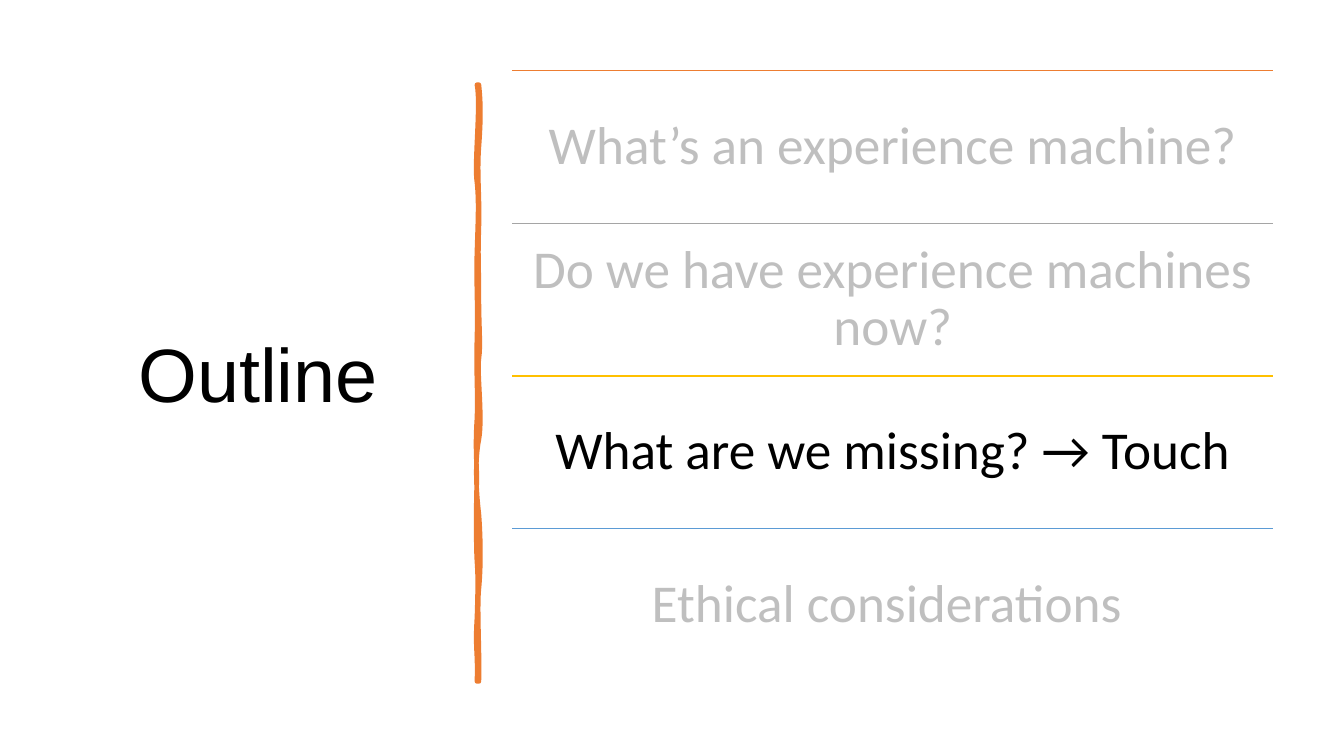
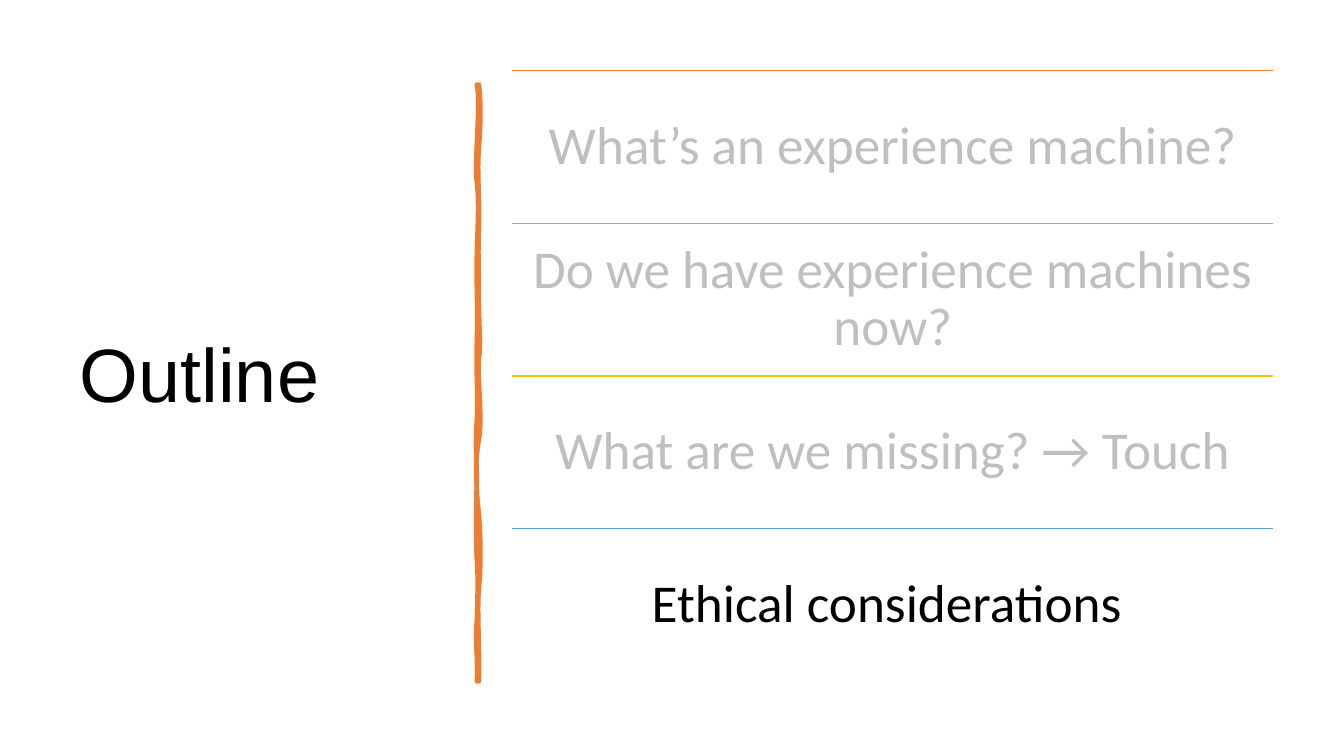
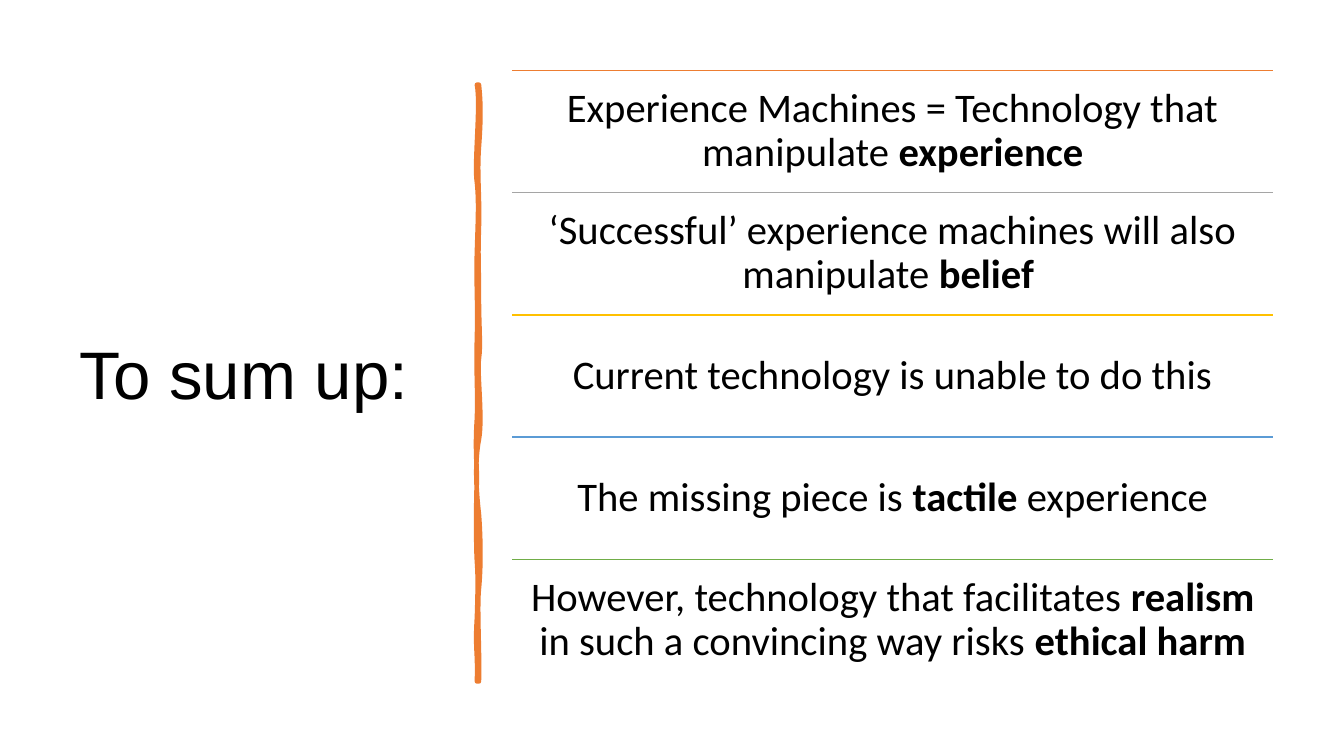
from pptx import Presentation
from pptx import util as u
from pptx.dml.color import RGBColor
from pptx.enum import shapes, text
from pptx.oxml.ns import qn
from lxml import etree

COLORS = {
    "black": "000000",
    "muted": "BFBFBF",
    "orange": "ED7D31",
    "gray": "A5A5A5",
    "gold": "FFC000",
    "blue": "5B9BD5",
    "green": "70AD47",
}
RULE_COLORS = ["orange", "gray", "gold", "blue", "green"]
TITLE_FONT, BODY_FONT = "Arial", "Calibri"

# The list area: rows share its height equally
LIST_LEFT, LIST_TOP, LIST_WIDTH, LIST_HEIGHT = 5.08, 0.7, 7.55, 6.06

# Hand-drawn bar: a start point, then cubic curves (control, control, end)
BAR_START = (4.75, 0.84)
BAR_CURVES = [
    ((4.77, 1.02), (4.77, 1.19), (4.75, 1.46)),
    ((4.73, 1.73), (4.76, 1.95), (4.75, 2.26)),
    ((4.74, 2.57), (4.75, 2.62), (4.75, 2.94)),
    ((4.75, 3.25), (4.77, 3.42), (4.75, 3.56)),
    ((4.73, 3.7), (4.79, 4.14), (4.75, 4.36)),
    ((4.71, 4.57), (4.72, 4.84), (4.75, 5.1)),
    ((4.77, 5.36), (4.77, 5.64), (4.75, 5.84)),
    ((4.73, 6.03), (4.76, 6.5), (4.75, 6.76)),
    ((4.74, 6.76), (4.73, 6.76), (4.73, 6.76)),
    ((4.74, 6.46), (4.71, 6.44), (4.73, 6.13)),
    ((4.74, 5.83), (4.74, 5.7), (4.73, 5.57)),
    ((4.72, 5.44), (4.72, 4.95), (4.73, 4.77)),
    ((4.73, 4.59), (4.71, 4.45), (4.73, 4.15)),
    ((4.74, 3.86), (4.72, 3.73), (4.73, 3.35)),
    ((4.74, 2.98), (4.72, 2.81), (4.73, 2.5)),
    ((4.74, 2.18), (4.75, 2.0), (4.73, 1.81)),
    ((4.7, 1.63), (4.77, 1.04), (4.73, 0.84)),
]

OUTLINE = [
    "What’s an experience machine?",
    "Do we have experience machines now?",
    "What are we missing? → Touch",
    "Ethical considerations ",
]

# Each row is a list of (text, bold) runs
SUMMARY = [
    [("Experience Machines = Technology that manipulate ", False), ("experience", True)],
    [("‘Successful’ experience machines will also manipulate ", False), ("belief ", True)],
    [("Current technology is unable to do this", False)],
    [("The missing piece is ", False), ("tactile", True), (" experience", False)],
    [("However, technology that facilitates ", False), ("realism", True),
     (" in such a convincing way risks ", False), ("ethical harm", True)],
]


def rgb(name):
    return RGBColor.from_string(COLORS[name])


def add_run(paragraph, wording, font, size, color="black", bold=False):
    run = paragraph.add_run()
    run.text = wording
    run.font.name = font
    run.font.size = u.Pt(size)
    run.font.bold = bold
    run.font.color.rgb = rgb(color)


def set_title(slide, wording, size, alignment):
    title = slide.shapes.title
    title.left, title.top = u.Inches(0.69), u.Inches(0.7)
    title.width, title.height = u.Inches(3.74), u.Inches(6.1)
    frame = title.text_frame
    frame.word_wrap = True
    frame.auto_size = text.MSO_AUTO_SIZE.NONE
    frame.vertical_anchor = text.MSO_ANCHOR.MIDDLE
    paragraph = frame.paragraphs[0]
    paragraph.alignment = alignment
    paragraph.line_spacing = 0.9
    add_run(paragraph, wording, TITLE_FONT, size)


def to_emu(point):
    return tuple(u.Inches(value) for value in point)


def bend_segments(shape, curves):
    """Turn the straight segments of a freeform into cubic curves."""
    for segment, curve in zip(list(shape.element.iter(qn("a:lnTo"))), curves):
        segment.tag = qn("a:cubicBezTo")
        for old_point in list(segment):
            segment.remove(old_point)
        for x, y in map(to_emu, curve):
            etree.SubElement(segment, qn("a:pt"),
                             x=str(x - shape.left), y=str(y - shape.top))


def add_bar(slide):
    builder = slide.shapes.build_freeform(*to_emu(BAR_START))
    builder.add_line_segments([to_emu(curve[-1]) for curve in BAR_CURVES], close=True)
    bar = builder.convert_to_shape()
    bend_segments(bar, BAR_CURVES)
    bar.shadow.inherit = False
    bar.fill.solid()
    bar.fill.fore_color.rgb = rgb("orange")
    bar.line.color.rgb = rgb("orange")
    bar.line.width = u.Pt(3.25)


def add_rule(group, top, color):
    rule = group.shapes.add_connector(
        shapes.MSO_CONNECTOR.STRAIGHT, u.Inches(LIST_LEFT), u.Inches(top),
        u.Inches(LIST_LEFT + LIST_WIDTH), u.Inches(top))
    rule.line.color.rgb = rgb(color)
    rule.line.width = u.Pt(1)
    etree.SubElement(rule.element.spPr, qn("a:effectLst"))


def add_row(group, top, height, runs, size, color, inset):
    box = group.shapes.add_textbox(
        u.Inches(LIST_LEFT), u.Inches(top), u.Inches(LIST_WIDTH), u.Inches(height))
    frame = box.text_frame
    frame.word_wrap = True
    frame.vertical_anchor = text.MSO_ANCHOR.MIDDLE
    frame.margin_left = frame.margin_right = u.Inches(inset)
    frame.margin_top = frame.margin_bottom = u.Inches(inset)
    paragraph = frame.paragraphs[0]
    paragraph.alignment = text.PP_ALIGN.CENTER
    paragraph.line_spacing = 0.9
    for wording, bold in runs:
        add_run(paragraph, wording, BODY_FONT, size, color, bold)


def add_list_slide(presentation, title, title_size, alignment, rows, size, inset):
    """Title, bar and ruled list; rows are (runs, color) pairs."""
    slide = presentation.slides.add_slide(presentation.slide_layouts[5])
    set_title(slide, title, title_size, alignment)
    add_bar(slide)
    group = slide.shapes.add_group_shape()
    height = LIST_HEIGHT / len(rows)
    for index, (runs, color) in enumerate(rows):
        top = LIST_TOP + index * height
        add_rule(group, top, RULE_COLORS[index])
        add_row(group, top, height, runs, size, color, inset)


def add_outline_slide(presentation, current, alignment):
    rows = [([(wording, False)], "black" if index == current else "muted")
            for index, wording in enumerate(OUTLINE)]
    add_list_slide(presentation, "Outline", 54, alignment, rows, 38, 0.16)


def main():
    presentation = Presentation()
    presentation.slide_width = u.Inches(13.33)
    presentation.slide_height = u.Inches(7.5)

    # Outline, with the current topic in black
    add_outline_slide(presentation, 2, text.PP_ALIGN.CENTER)
    add_outline_slide(presentation, 3, text.PP_ALIGN.LEFT)

    # Summary
    add_list_slide(presentation, "To sum up:", 48, text.PP_ALIGN.LEFT,
                   [(runs, "black") for runs in SUMMARY], 29, 0.12)

    presentation.save("out.pptx")


if __name__ == "__main__":
    main()
